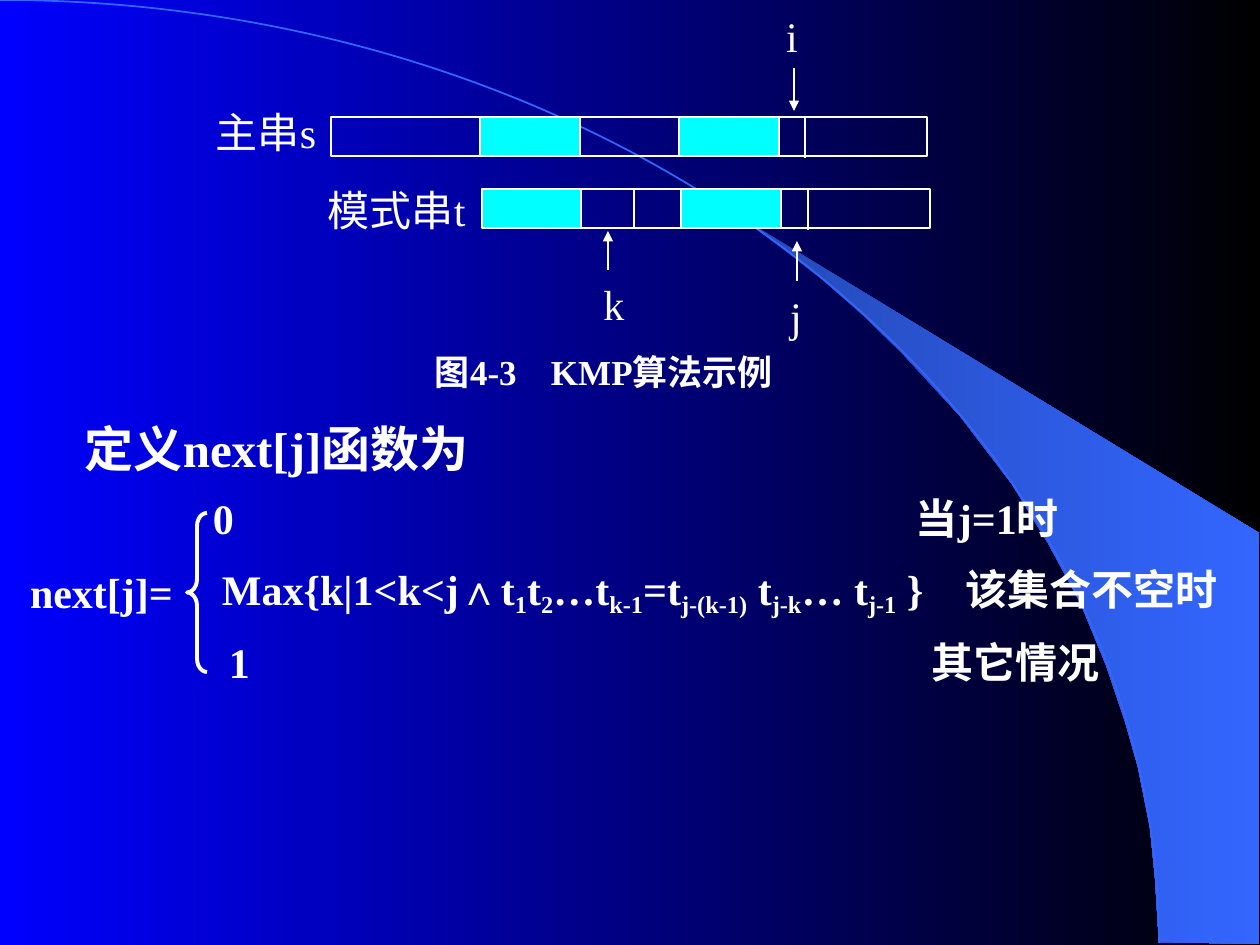
from lxml import etree
from pptx import Presentation
from pptx import util as u
from pptx.dml.color import RGBColor
from pptx.enum import shapes, text
from pptx.oxml.ns import qn

PX = 914400 / 126
COLORS = {"white": "FFFFFF", "cyan": "00FFFF", "blue": "0000FF", "black": "000000",
          "wedge": "2449B6", "arc": "3366FF"}


def px(n):
    return u.Emu(round(n * PX))


def add_text(left, middle, width, height, runs, size=24, bold=False, align="LEFT", tab=None):
    box = slide.shapes.add_textbox(px(left), px(middle - height / 2), px(width), px(height))
    frame = box.text_frame
    frame.word_wrap = True
    frame.vertical_anchor = text.MSO_ANCHOR.MIDDLE
    frame.margin_left = frame.margin_right = frame.margin_top = frame.margin_bottom = 0
    paragraph = frame.paragraphs[0]
    paragraph.alignment = getattr(text.PP_ALIGN, align)
    if tab:
        stops = etree.SubElement(paragraph._p.get_or_add_pPr(), qn("a:tabLst"))
        etree.SubElement(stops, qn("a:tab"), pos=str(px(tab)), algn="l")
    for words, baseline in runs:
        run = paragraph.add_run()
        run.text = words
        run.font.size = u.Pt(size)
        run.font.bold = bold
        run.font.color.rgb = RGBColor.from_string(COLORS["white"])
        run.font.name = "Times New Roman"
        props = run._r.get_or_add_rPr()
        etree.SubElement(props, qn("a:ea"), typeface="Noto Sans CJK SC")
        if baseline:
            props.set("baseline", str(baseline * 1000))


prs = Presentation()
prs.slide_width, prs.slide_height = u.Inches(10), u.Inches(7.5)
slide = prs.slides.add_slide(prs.slide_layouts[6])

wedge_outline = [(1159, 942), (1259, 944), (1259, 533), (742, 218), (786, 251), (823, 280),
                 (863, 315), (902, 353), (960, 416), (1012, 484), (1048, 543), (1081, 604),
                 (1106, 665), (1125, 721), (1138, 767), (1150, 827), (1155, 877), (1159, 942)]
arc_points = [(0, 0), (640, 0), (1159, 422), (1159, 943)]
outlines = []
for points in (wedge_outline, arc_points):
    corners = [(px(x), px(y)) for x, y in points]
    builder = slide.shapes.build_freeform(*corners[0])
    builder.add_line_segments(corners[1:], close=False)
    outline = builder.convert_to_shape()
    outline.shadow.inherit = False
    outlines.append(outline)
wedge, arc = outlines

wedge.line.fill.background()
for fill, ends in ((slide.background.fill, ("blue", "black")), (wedge.fill, ("wedge", "arc"))):
    fill.gradient()
    fill.gradient_angle = 0
    for stop, position, color in zip(fill.gradient_stops, (0, 1), ends):
        stop.position = position
        stop.color.rgb = RGBColor.from_string(COLORS[color])

arc_track = arc._element.find(".//" + qn("a:path"))
bezier = etree.SubElement(arc_track, qn("a:cubicBezTo"))
for segment in arc_track.findall(qn("a:lnTo")):
    bezier.append(segment[0])
    arc_track.remove(segment)
arc.fill.background()
arc.line.color.rgb = RGBColor.from_string(COLORS["arc"])
arc.line.width = u.Pt(1)

main_string = (117, (331, 480, 580, 679, 779, 927), (1, 3))
pattern_string = (189, (482, 581, 681, 781, 930), (0, 2))
for top, edges, matched in (main_string, pattern_string):
    for index, (left, right) in enumerate(zip(edges, edges[1:])):
        cell = slide.shapes.add_shape(shapes.MSO_SHAPE.RECTANGLE,
                                      px(left), px(top), px(right - left), px(39))
        cell.shadow.inherit = False
        if index in matched:
            cell.fill.solid()
            cell.fill.fore_color.rgb = RGBColor.from_string(COLORS["cyan"])
        else:
            cell.fill.background()
        cell.line.color.rgb = RGBColor.from_string(COLORS["white"])
        cell.line.width = u.Pt(0.75)

dividers = [(805, 118, 158, False), (634, 189, 228, False), (808, 190, 230, False)]
pointers = [(794, 68, 111, True), (608, 270, 231, True), (797, 281, 241, True)]
for x, start, end, arrow in dividers + pointers:
    line = slide.shapes.add_connector(shapes.MSO_CONNECTOR.STRAIGHT,
                                      px(x), px(start), px(x), px(end))
    line.line.color.rgb = RGBColor.from_string(COLORS["white"])
    line.line.width = u.Pt(0.75)
    if arrow:
        etree.SubElement(line.line._get_or_add_ln(), qn("a:tailEnd"), type="triangle")
    etree.SubElement(line._element.spPr, qn("a:effectLst"))

add_text(216, 132, 115, 49, [("主串s", 0)])
add_text(328, 210, 152, 49, [("模式串t", 0)])
for index_name, center, middle in (("i", 792, 36), ("k", 614, 304), ("j", 796, 316)):
    add_text(center - 20, middle, 40, 39, [(index_name, 0)], align="CENTER")
add_text(435, 372, 378, 53, [("图4-3\tKMP算法示例", 0)], size=20, bold=True, tab=116)

longest_match = [("Max{k|1<k<j∧t", 0), ("1", -20), ("t", 0), ("2", -20), ("…t", 0),
                 ("k-1", -20), ("=t", 0), ("j-(k-1)", -20), (" t", 0), ("j-k", -20),
                 ("… t", 0), ("j-1", -20), (" }\t该集合不空时", 0)]
add_text(213, 518, 880, 59, [("0\t当j=1时", 0)], bold=True, tab=703)
add_text(222, 591, 1010, 59, longest_match, bold=True, tab=744)
add_text(229, 662, 885, 59, [("1\t其它情况", 0)], bold=True, tab=703)
add_text(30, 592, 155, 59, [("next[j]=", 0)], bold=True)

brace = slide.shapes.add_shape(shapes.MSO_SHAPE.LEFT_BRACE, px(187), px(513), px(20), px(159))
brace.shadow.inherit = False
brace.adjustments[0], brace.adjustments[1] = 0.66, 0.5
brace.fill.background()
brace.line.color.rgb = RGBColor.from_string(COLORS["white"])
brace.line.width = u.Pt(2.25)
add_text(85, 448, 415, 69, [("定义next[j]函数为", 0)], size=28, bold=True)

prs.save("out.pptx")
